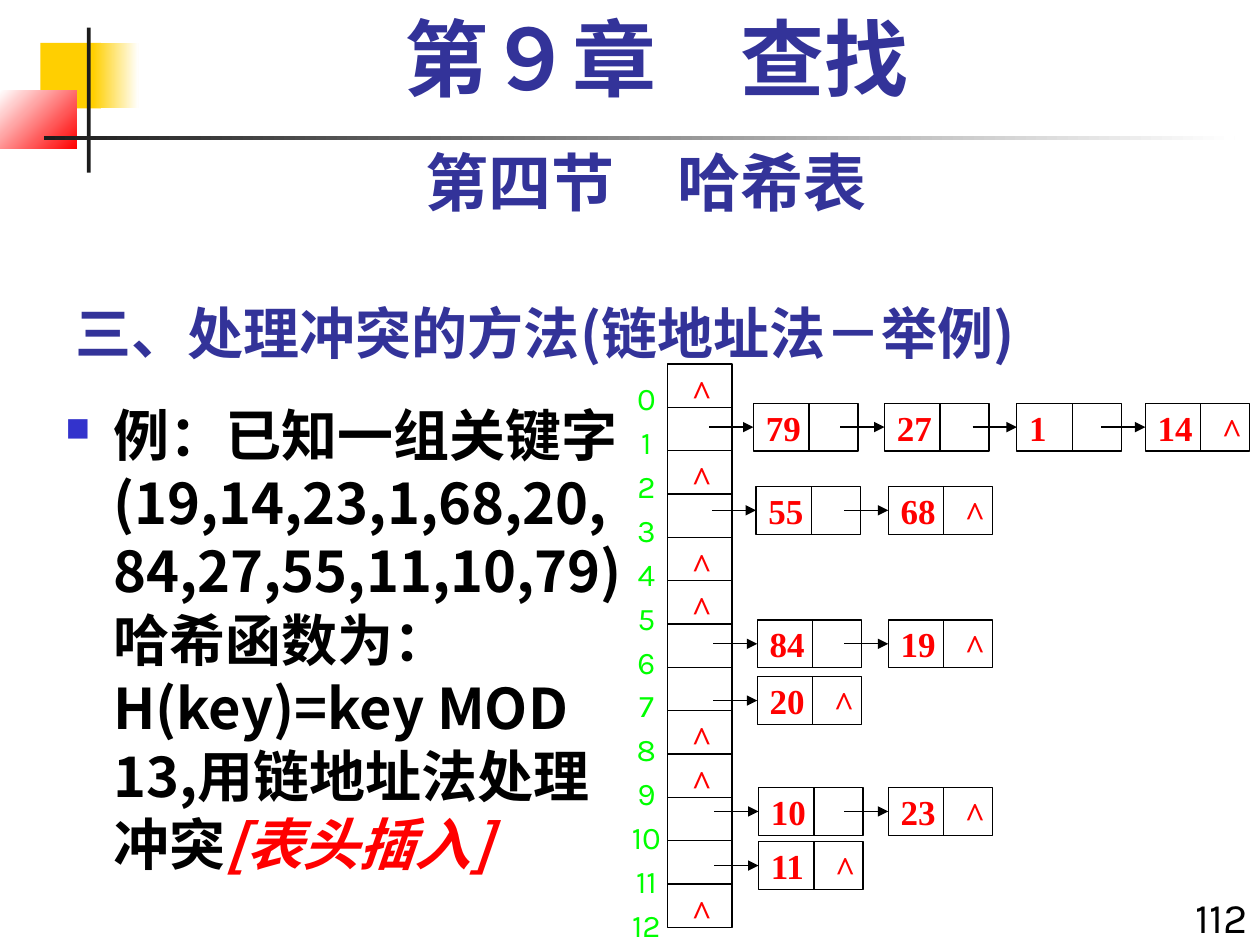
"""Builds a slide on hash tables with chained collision handling."""
import dataclasses

import lxml.etree
import pptx
import pptx.dml.color
import pptx.enum.shapes
import pptx.enum.text
import pptx.oxml.ns
import pptx.util

Inches = pptx.util.Inches
Pt = pptx.util.Pt
ALIGN = pptx.enum.text.PP_ALIGN
ANCHOR = pptx.enum.text.MSO_ANCHOR
qn = pptx.oxml.ns.qn


@dataclasses.dataclass(frozen=True)
class Theme:
    navy: str = "333399"
    bullet: str = "3333CC"
    black: str = "000000"
    dark: str = "1C1C1C"
    white: str = "FFFFFF"
    red: str = "FF0000"
    yellow: str = "FFCF01"
    green: str = "00FF00"
    sans: str = "Karla"
    serif: str = "Times New Roman"
    cjk: str = "Noto Sans CJK SC"
    chapter: int = 48
    section: int = 36
    body: int = 32
    page: int = 24
    key: int = 20
    index: int = 18
    line: float = 0.75


def rgb(color):
    return pptx.dml.color.RGBColor.from_string(color)


def add_run(p, text, size, font, color, east="", bold=False, italic=False):
    r = p.add_run()
    r.text = text
    r.font.size, r.font.name = Pt(size), font
    r.font.bold, r.font.italic = bold, italic
    r.font.color.rgb = rgb(color)
    if east:
        lxml.etree.SubElement(r.font._element, qn("a:ea"), typeface=east)


class SlideBuilder:
    def __init__(self, slide, theme):
        self.slide, self.theme = slide, theme

    def rect(self, left, top, width, height, fill=None, fade_to=None, angle=0, line=None):
        sp = self.slide.shapes.add_shape(
            pptx.enum.shapes.MSO_SHAPE.RECTANGLE,
            Inches(left), Inches(top), Inches(width), Inches(height))
        sp.shadow.inherit = False
        if fade_to:
            sp.fill.gradient()
            sp.fill.gradient_angle = angle
            for stop, color in zip(sp.fill.gradient_stops, (fill, fade_to)):
                stop.color.rgb = rgb(color)
        elif fill:
            sp.fill.solid()
            sp.fill.fore_color.rgb = rgb(fill)
        else:
            sp.fill.background()
        if line:
            sp.line.color.rgb = rgb(line)
            sp.line.width = Pt(self.theme.line)
        else:
            sp.line.fill.background()
        return sp

    def line(self, x1, y1, x2, y2, arrow=False):
        cx = self.slide.shapes.add_connector(
            pptx.enum.shapes.MSO_CONNECTOR.STRAIGHT,
            Inches(x1), Inches(y1), Inches(x2), Inches(y2))
        cx.line.color.rgb = rgb(self.theme.black)
        cx.line.width = Pt(self.theme.line)
        if arrow:
            lxml.etree.SubElement(cx.line._get_or_add_ln(), qn("a:tailEnd"), type="triangle")
        lxml.etree.SubElement(cx._element.spPr, qn("a:effectLst"))
        return cx

    def text(self, left, top, width, height, *lines, align=ALIGN.LEFT,
             anchor=ANCHOR.TOP, wrap=True, gap=0, **fmt):
        sp = self.slide.shapes.add_textbox(
            Inches(left), Inches(top), Inches(width), Inches(height))
        tf = sp.text_frame
        tf.word_wrap, tf.vertical_anchor = wrap, anchor
        for i, text in enumerate(lines):
            p = tf.add_paragraph() if i else tf.paragraphs[0]
            p.alignment = align
            if i:
                p.space_before = Pt(gap)
            if text:
                add_run(p, text, **fmt)
        return tf.paragraphs[0]

    def bullet(self, p):
        pPr = p._element.get_or_add_pPr()
        pPr.set("marL", str(Inches(0.38)))
        pPr.set("indent", str(-Inches(0.38)))
        clr = lxml.etree.SubElement(pPr, qn("a:buClr"))
        lxml.etree.SubElement(clr, qn("a:srgbClr"), val=self.theme.bullet)
        lxml.etree.SubElement(pPr, qn("a:buSzPct"), val="60000")
        lxml.etree.SubElement(pPr, qn("a:buChar"), char="■")

    def null_mark(self, left, top):
        t = self.theme
        self.text(left, top, 0.36, 0.44, "^", wrap=False,
                  size=t.key, font=t.serif, color=t.red, bold=True)

    def node(self, left, top, key):
        t = self.theme
        sp = self.rect(left, top, 0.83, 0.38, line=t.black)
        tf = sp.text_frame
        tf.word_wrap, tf.vertical_anchor = True, ANCHOR.MIDDLE
        tf.paragraphs[0].alignment = ALIGN.LEFT
        add_run(tf.paragraphs[0], key, t.key, t.serif, t.red, bold=True)
        self.line(left + 0.44, top, left + 0.44, top + 0.38)
        mid = top + 0.19
        self.line(left - 0.35, mid, left, mid, arrow=True).end_connect(sp, 1)

    def chain(self, top, nodes):
        for key, left in nodes:
            self.node(left, top, key)
        self.null_mark(left + 0.51, top - 0.01)


def main():
    prs = pptx.Presentation()
    prs.slide_width, prs.slide_height = Inches(10), Inches(7.5)
    t = Theme()
    s = SlideBuilder(prs.slides.add_slide(prs.slide_layouts[6]), t)

    s.rect(0.32, 0.34, 0.48, 0.52, t.yellow)
    s.rect(0.74, 0.34, 0.36, 0.52, t.yellow, t.white)
    s.rect(0, 0.72, 0.61, 0.46, t.white, t.red, angle=315)
    s.rect(0.69, 0.22, 0.03, 1.15, t.dark)
    s.rect(0.35, 1.08, 9.45, 0.03, t.dark, t.white)

    heading = dict(color=t.navy, east=t.cjk, bold=True)
    p = s.text(0.67, 0.09, 9.08, 0.83, "第９章\u3000查找".replace("\u3000", "　"),
               align=ALIGN.CENTER, size=t.chapter, font=t.serif, **heading)
    p.line_spacing = 0.9
    s.text(0.5, 1.09, 9.25, 0.7, "第四节　哈希表", align=ALIGN.CENTER,
           size=t.section, font=t.sans, **heading)
    s.text(0.5, 2.2, 9.25, 0.75, "三、处理冲突的方法(链地址法－举例)",
           anchor=ANCHOR.BOTTOM, size=t.body, font=t.cjk, **heading)
    s.text(9.08, 7.03, 0.92, 0.45, "112", align=ALIGN.RIGHT,
           size=t.page, font=t.sans, color=t.black)

    p = s.text(0.42, 3.12, 4.67, 4.3, "")
    s.bullet(p)
    p.line_spacing = Pt(39)
    body = dict(size=t.body, font=t.cjk, east=t.cjk, bold=True)
    add_run(p, "例：已知一组关键字(19,14,23,1,68,20,84,27,55,11,10,79)"
               "哈希函数为： H(key)=key MOD 13,用链地址法处理冲突", color=t.black, **body)
    add_run(p, "[表头插入]", color=t.red, italic=True, **body)

    buckets, left, top, width, height = 13, 5.3, 2.89, 0.51, 4.47
    pitch = height / buckets
    s.rect(left, top, width, height, line=t.black)
    for row in range(1, buckets):
        s.line(left, top + row * pitch, left + width, top + row * pitch)
    for row in (0, 2, 4, 5, 8, 9, 12):
        s.null_mark(left + 0.09, top + row * pitch)
    s.text(4.84, 2.96, 0.58, 4.48, *map(str, range(buckets)), align=ALIGN.CENTER,
           gap=3.5, size=t.index, font=t.sans, color=t.green)

    chains = [
        (3.2, [("79", 5.98), ("27", 7.02), ("1", 8.07), ("14", 9.09)]),
        (3.86, [("55", 6), ("68", 7.05)]),
        (4.92, [("84", 6.01), ("19", 7.05)]),
        (5.37, [("20", 6.01)]),
        (6.25, [("10", 6.02), ("23", 7.05)]),
        (6.68, [("11", 6.02)]),
    ]
    for chain_top, nodes in chains:
        s.chain(chain_top, nodes)

    prs.save("out.pptx")


if __name__ == "__main__":
    main()
